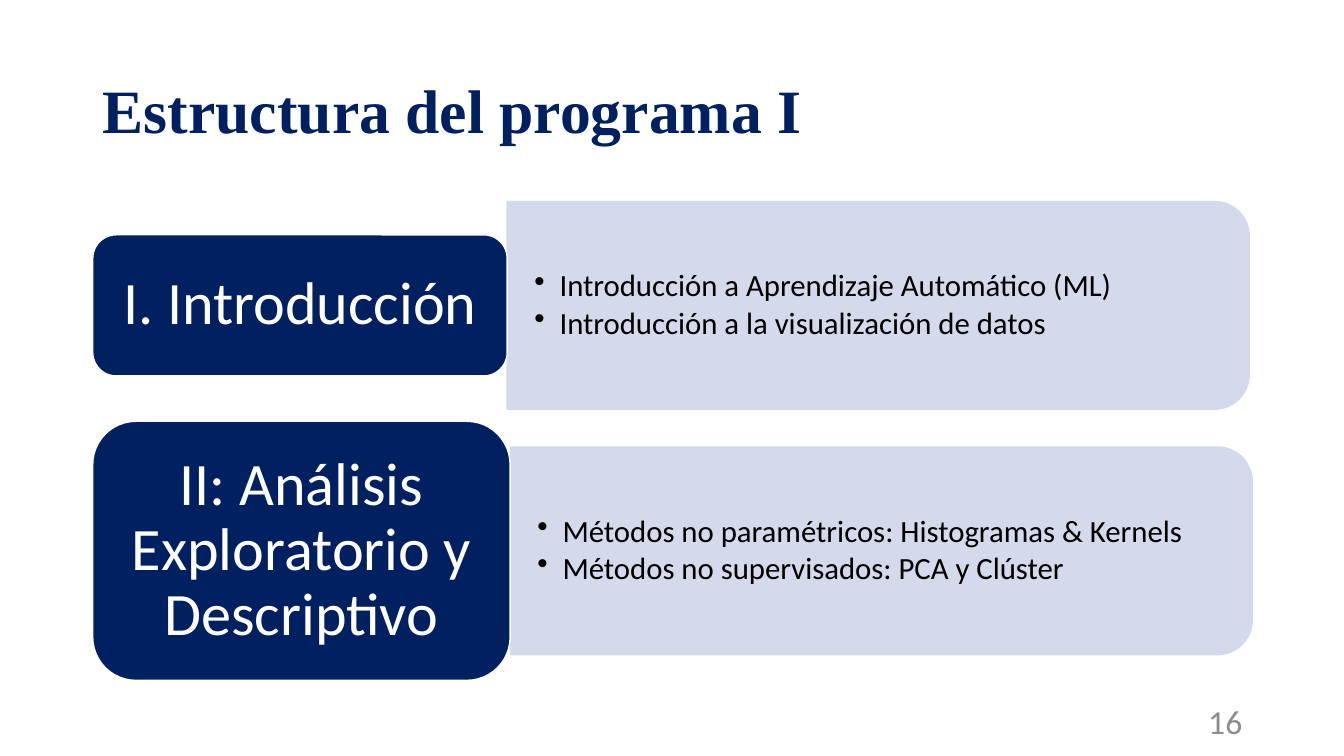
import pptx
import pptx.util
import pptx.dml.color
import pptx.enum.shapes
import pptx.enum.text
from lxml import etree
from pptx.util import Inches

RGBColor = pptx.dml.color.RGBColor
SHAPE = pptx.enum.shapes.MSO_SHAPE
ALIGN = pptx.enum.text.PP_ALIGN
ANCHOR = pptx.enum.text.MSO_ANCHOR
NAVY = RGBColor(0x00, 0x20, 0x60)
PALE = RGBColor(0xD4, 0xD9, 0xEC)
WHITE = RGBColor(0xFF, 0xFF, 0xFF)
BLACK = RGBColor(0x00, 0x00, 0x00)
GREY = RGBColor(0x8C, 0x8C, 0x8C)

prs = pptx.Presentation()
prs.slide_width, prs.slide_height = Inches(13.33), Inches(7.5)
s = prs.slides.add_slide(prs.slide_layouts[5])


def write(sp, lines, size, color, font="Calibri", bold=False, align=ALIGN.LEFT,
          spacing=0.9, after=0, margins=(0.1, 0.05), bullet=False):
    tf = sp.text_frame
    tf.word_wrap = True
    tf.auto_size = pptx.enum.text.MSO_AUTO_SIZE.NONE
    tf.vertical_anchor = ANCHOR.MIDDLE
    tf.margin_left = tf.margin_right = Inches(margins[0])
    tf.margin_top = tf.margin_bottom = Inches(margins[1])
    for i, line in enumerate(lines):
        p = tf.paragraphs[0] if i == 0 else tf.add_paragraph()
        p.alignment = align
        p.line_spacing = spacing
        p.space_after = pptx.util.Pt(after)
        if bullet:
            p.level = 1
            pPr = p._p.get_or_add_pPr()
            pPr.set("marL", str(Inches(0.25)))
            pPr.set("indent", str(Inches(-0.25)))
            etree.SubElement(pPr, pptx.oxml.ns.qn("a:buChar")).set("char", "•")
        r = p.add_run()
        r.text = line
        r.font.name, r.font.size, r.font.bold = font, pptx.util.Pt(size), bold
        r.font.color.rgb = color


def block(kind, left, top, width, height, fill, line):
    sp = s.shapes.add_shape(kind, Inches(left), Inches(top), Inches(width), Inches(height))
    sp.shadow.inherit = False
    sp.fill.solid()
    sp.fill.fore_color.rgb = fill
    sp.line.color.rgb = line
    sp.line.width = pptx.util.Pt(1)
    return sp


# Title
title = s.shapes.title
title.left, title.top, title.width, title.height = map(Inches, (0.92, 0.4, 11.5, 1.45))
write(title, ["Estructura del programa I"], 44, NAVY, font="Times New Roman", bold=True)

# Programme parts: label, label top, width and height, text inset, topics
parts = [
    ("I. Introducción", 2.33, 4.11, 1.4, 0.07,
     ["Introducción a Aprendizaje Automático (ML)",
      "Introducción a la visualización de datos"]),
    ("II: Análisis Exploratorio y Descriptivo", 4.18, 4.14, 2.57, 0.13,
     ["Métodos no paramétricos: Histogramas & Kernels",
      "Métodos no supervisados: PCA y Clúster"]),
]
LEFT, PANEL_W, PANEL_H = 0.92, 7.36, 2.06
for label, top, width, height, inset, topics in parts:
    panel_left, middle = LEFT + width, top + height / 2

    # Topic panel, turned so that its round corners face right
    panel = block(SHAPE.ROUND_2_SAME_RECTANGLE, panel_left + (PANEL_W - PANEL_H) / 2,
                  middle - PANEL_W / 2, PANEL_H, PANEL_W, PALE, PALE)
    panel.rotation = 90
    box = s.shapes.add_textbox(Inches(panel_left), Inches(middle - 0.93),
                               Inches(7.26), Inches(1.86))
    write(box, topics, 22, BLACK, after=3, margins=(0.27, 0.14), bullet=True)

    # Label
    block(SHAPE.ROUNDED_RECTANGLE, LEFT, top, width, height, NAVY, WHITE)
    box = s.shapes.add_textbox(Inches(LEFT + inset), Inches(top + inset),
                               Inches(width - 2 * inset), Inches(height - 2 * inset))
    write(box, [label], 43, WHITE, align=ALIGN.CENTER, margins=(0.18, 0.09))

# Slide number
number = s.shapes.add_textbox(Inches(9.42), Inches(6.95), Inches(3), Inches(0.4))
write(number, ["16"], 24, GREY, align=ALIGN.RIGHT, spacing=1.0)

prs.save("out.pptx")
